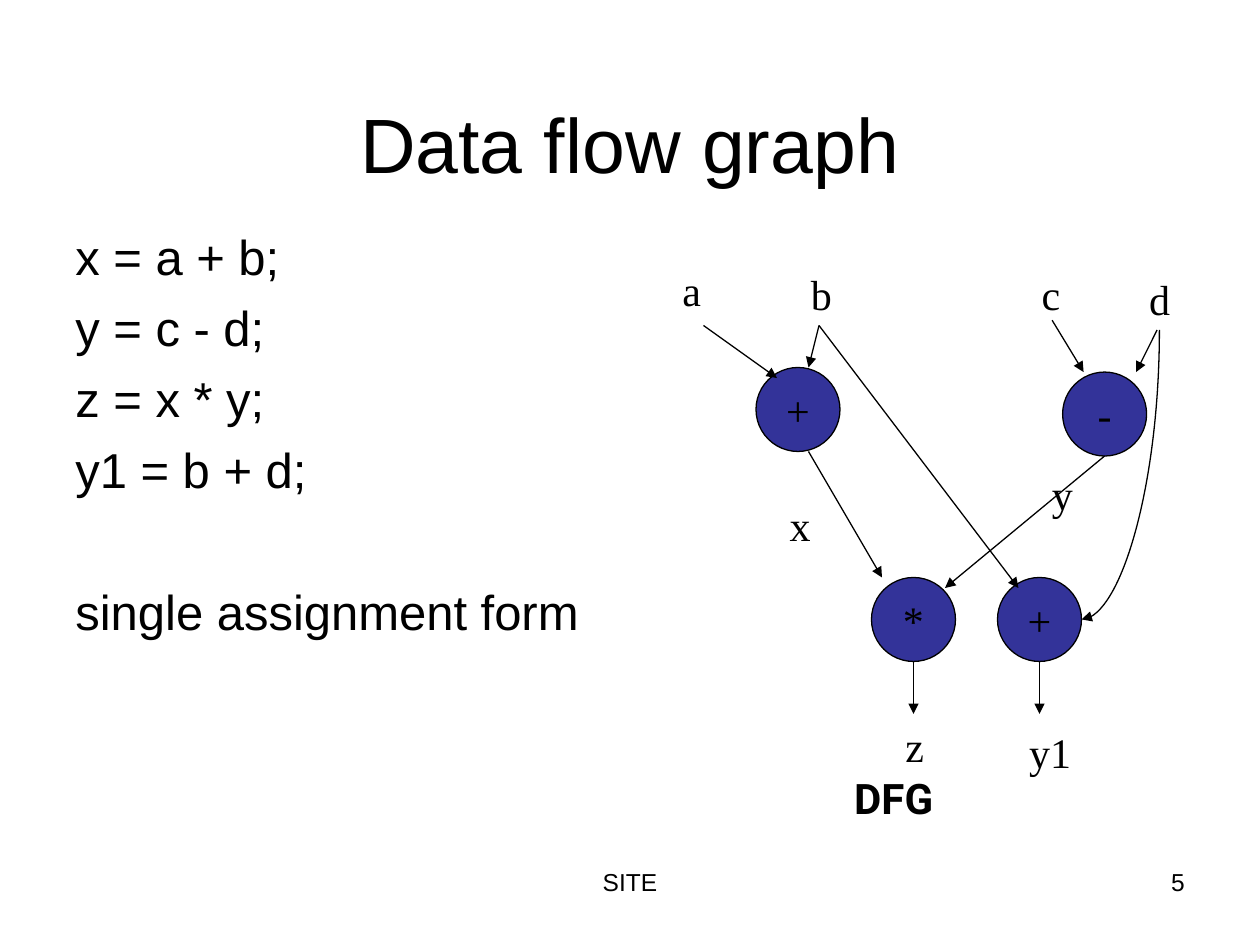
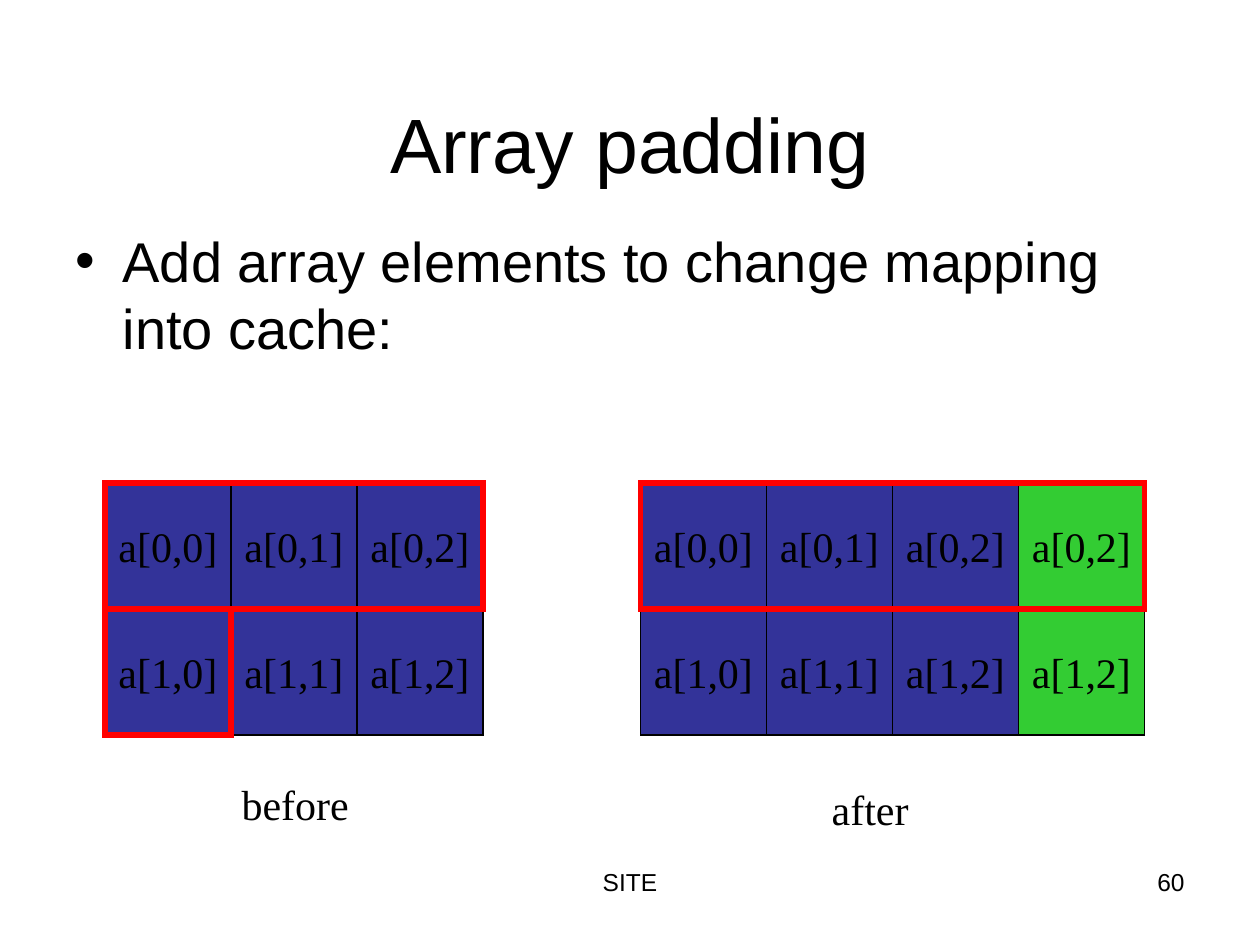
from typing import NamedTuple, Optional

from lxml.etree import SubElement
from pptx import Presentation
from pptx.dml.color import RGBColor
from pptx.enum.shapes import MSO_CONNECTOR as Link, MSO_SHAPE as Preset
from pptx.enum.text import MSO_ANCHOR as Anchor, MSO_AUTO_SIZE as Fit, PP_ALIGN as Align
from pptx.oxml.ns import qn
from pptx.shapes.connector import Connector
from pptx.slide import Slide
from pptx.text.text import TextFrame, _Paragraph as Paragraph
from pptx.util import Pt

BLACK = RGBColor(0, 0, 0)
INDIGO = RGBColor(0x33, 0x33, 0x99)
GREEN = RGBColor(0x33, 0xCC, 0x33)
RED = RGBColor(0xFF, 0, 0)
SANS, SERIF, CAPTION = "Arial", "Times New Roman", "Roboto"
LABEL_SIZE, LABEL_HEIGHT = 24, 36
HAIRLINE, FRAME_LINE = 0.75, 3
NODE, CELL = 48, 72
INDENT = 27
ROWS_TOP = 276


class Box(NamedTuple):
    left: float
    top: float
    width: float
    height: float


class Style(NamedTuple):
    font: str
    size: float
    align: Align = Align.LEFT
    bold: bool = False


class Label(NamedTuple):
    text: str
    left: float
    top: float
    width: float = 27
    style: Style = Style(SERIF, LABEL_SIZE)


class Operation(NamedTuple):
    sign: str
    left: float
    top: float


class Flow(NamedTuple):
    x1: float
    y1: float
    x2: float
    y2: float


class Matrix(NamedTuple):
    left: float
    columns: int
    padded: int
    caption: Label


TITLE = Style(SANS, 44, Align.CENTER)
SYMBOL = Style(SERIF, LABEL_SIZE, Align.CENTER)
STATEMENT = Style(SANS, 28)
POINT = Style(SANS, 32)

OPERATIONS = [
    Operation("+", 432, 210),
    Operation("-", 607.2, 212.6),
    Operation("+", 570, 330),
    Operation("*", 498, 330),
]
VARIABLES = [
    Label("DFG", 481, 438, 63, Style(CAPTION, LABEL_SIZE, bold=True)),
    Label("a", 382.8, 147.5),
    Label("b", 456.2, 150),
    Label("c", 588.2, 150),
    Label("d", 649.5, 152.5),
    Label("x", 444.2, 282),
    Label("y", 594, 264),
    Label("z", 510.2, 408),
    Label("y1", 581, 411.4, 42),
]
FLOWS = [
    Flow(402, 186, 444, 216),
    Flow(468, 186, 462, 210),
    Flow(468, 186, 582, 336),
    Flow(601.2, 183, 619.2, 212.6),
    Flow(661.2, 188.6, 649.2, 212.6),
    Flow(462, 258, 504, 330),
    Flow(631.2, 260.6, 540, 336),
    Flow(522, 378, 522, 408),
    Flow(594, 378, 594, 408),
]
D_TO_Y1 = Flow(662.5, 188.5, 618, 354)
STATEMENTS = ["x = a + b;", "y = c - d;", "z = x * y;", "y1 = b + d;"]
BEFORE = Matrix(60, 3, 0, Label("before", 131, 441.5, 78))
AFTER = Matrix(366, 4, 1, Label("after", 468.2, 444, 60))


def write(paragraph: Paragraph, text: str, style: Style) -> None:
    paragraph.alignment = style.align
    run = paragraph.add_run()
    run.text = text
    run.font.name = style.font
    run.font.size = Pt(style.size)
    run.font.bold = style.bold
    run.font.color.rgb = BLACK


def add_text(slide: Slide, box: Box, text: str, style: Style) -> TextFrame:
    frame = slide.shapes.add_textbox(*map(Pt, box)).text_frame
    frame.word_wrap = True
    write(frame.paragraphs[0], text, style)
    return frame


def hang(paragraph: Paragraph, bullet: Optional[str] = None) -> None:
    properties = paragraph._p.get_or_add_pPr()
    properties.set("marL", str(Pt(INDENT)))
    properties.set("indent", str(-Pt(INDENT)))
    if bullet:
        SubElement(properties, qn("a:buFont"), typeface=SANS)
        SubElement(properties, qn("a:buChar"), char=bullet)


def add_label(slide: Slide, label: Label) -> None:
    box = Box(label.left, label.top, label.width, LABEL_HEIGHT)
    frame = add_text(slide, box, label.text, label.style)
    frame.word_wrap = False
    frame.auto_size = Fit.SHAPE_TO_FIT_TEXT


def add_block(slide: Slide, preset: Preset, box: Box, text: str = "",
              fill: Optional[RGBColor] = None, line: RGBColor = BLACK,
              weight: float = HAIRLINE) -> None:
    block = slide.shapes.add_shape(preset, *map(Pt, box))
    block.shadow.inherit = False
    block.line.color.rgb = line
    block.line.width = Pt(weight)
    SubElement(block.line._get_or_add_ln(), qn("a:miter"), lim="800000")
    if fill is None:
        block.fill.background()
    else:
        block.fill.solid()
        block.fill.fore_color.rgb = fill
    if text:
        frame = block.text_frame
        frame.word_wrap = False
        frame.vertical_anchor = Anchor.MIDDLE
        write(frame.paragraphs[0], text, SYMBOL)


def add_arrow(slide: Slide, flow: Flow, kind: Link = Link.STRAIGHT) -> Connector:
    arrow = slide.shapes.add_connector(kind, *map(Pt, flow))
    arrow.line.color.rgb = BLACK
    arrow.line.width = Pt(HAIRLINE)
    SubElement(arrow.line._get_or_add_ln(), qn("a:tailEnd"), type="triangle")
    SubElement(arrow.element.spPr, qn("a:effectLst"))
    return arrow


def add_bend(slide: Slide, flow: Flow) -> None:
    middle_x, middle_y = (flow.x1 + flow.x2) / 2, (flow.y1 + flow.y2) / 2
    half_run, half_rise = (flow.y2 - flow.y1) / 2, (flow.x1 - flow.x2) / 2
    unturned = Flow(middle_x - half_run, middle_y - half_rise,
                    middle_x + half_run, middle_y + half_rise)
    properties = add_arrow(slide, unturned, Link.CURVE).element.spPr
    properties.find(qn("a:prstGeom")).set("prst", "curvedConnector2")
    properties.find(qn("a:xfrm")).set("rot", str(90 * 60000))


def add_matrix(slide: Slide, matrix: Matrix) -> None:
    for row in range(2):
        for column in range(matrix.columns):
            padding = column >= matrix.columns - matrix.padded
            index = column - 1 if padding else column
            box = Box(matrix.left + column * CELL, ROWS_TOP + row * CELL, CELL, CELL)
            add_block(slide, Preset.RECTANGLE, box, f"a[{row},{index}]",
                      GREEN if padding else INDIGO)
    add_label(slide, matrix.caption)


def add_cache_line(slide: Slide, matrix: Matrix, row: int, cells: int) -> None:
    box = Box(matrix.left, ROWS_TOP + row * CELL, cells * CELL, CELL)
    add_block(slide, Preset.RECTANGLE, box, line=RED, weight=FRAME_LINE)


def start_slide(deck: Presentation, title: str, number: int) -> Slide:
    slide = deck.slides.add_slide(deck.slide_layouts[6])
    add_text(slide, Box(246, 492, 228, 37.5), "SITE", Style(SANS, 14, Align.CENTER))
    add_text(slide, Box(516, 492, 168, 37.5), str(number), Style(SANS, 14, Align.RIGHT))
    heading = add_text(slide, Box(36, 21.5, 648, 90), title, TITLE)
    heading.vertical_anchor = Anchor.BOTTOM
    return slide


def build_data_flow(deck: Presentation) -> None:
    slide = start_slide(deck, "Data flow graph", 5)
    program = add_text(slide, Box(36, 126, 318, 356.5), STATEMENTS[0], STATEMENT)
    for statement in STATEMENTS[1:]:
        paragraph = program.add_paragraph()
        paragraph.space_before = Pt(7)
        write(paragraph, statement, STATEMENT)
    remark = program.add_paragraph()
    remark.space_before = Pt(47.5)
    write(remark, "single assignment form", STATEMENT)
    for paragraph in program.paragraphs:
        hang(paragraph)
    for operation in OPERATIONS:
        box = Box(operation.left, operation.top, NODE, NODE)
        add_block(slide, Preset.OVAL, box, operation.sign, INDIGO)
    for variable in VARIABLES:
        add_label(slide, variable)
    for flow in FLOWS:
        add_arrow(slide, flow)
    add_bend(slide, D_TO_Y1)


def build_array_padding(deck: Presentation) -> None:
    slide = start_slide(deck, "Array padding", 60)
    point = add_text(slide, Box(36, 126, 648, 99.5),
                     "Add array elements to change mapping into cache:", POINT)
    hang(point.paragraphs[0], "•")
    add_matrix(slide, BEFORE)
    add_matrix(slide, AFTER)
    add_cache_line(slide, BEFORE, 0, 3)
    add_cache_line(slide, BEFORE, 1, 1)
    add_cache_line(slide, AFTER, 0, 4)


def main() -> None:
    deck = Presentation()
    deck.slide_width, deck.slide_height = Pt(720), Pt(540)
    build_data_flow(deck)
    build_array_padding(deck)
    deck.save("out.pptx")


if __name__ == "__main__":
    main()
